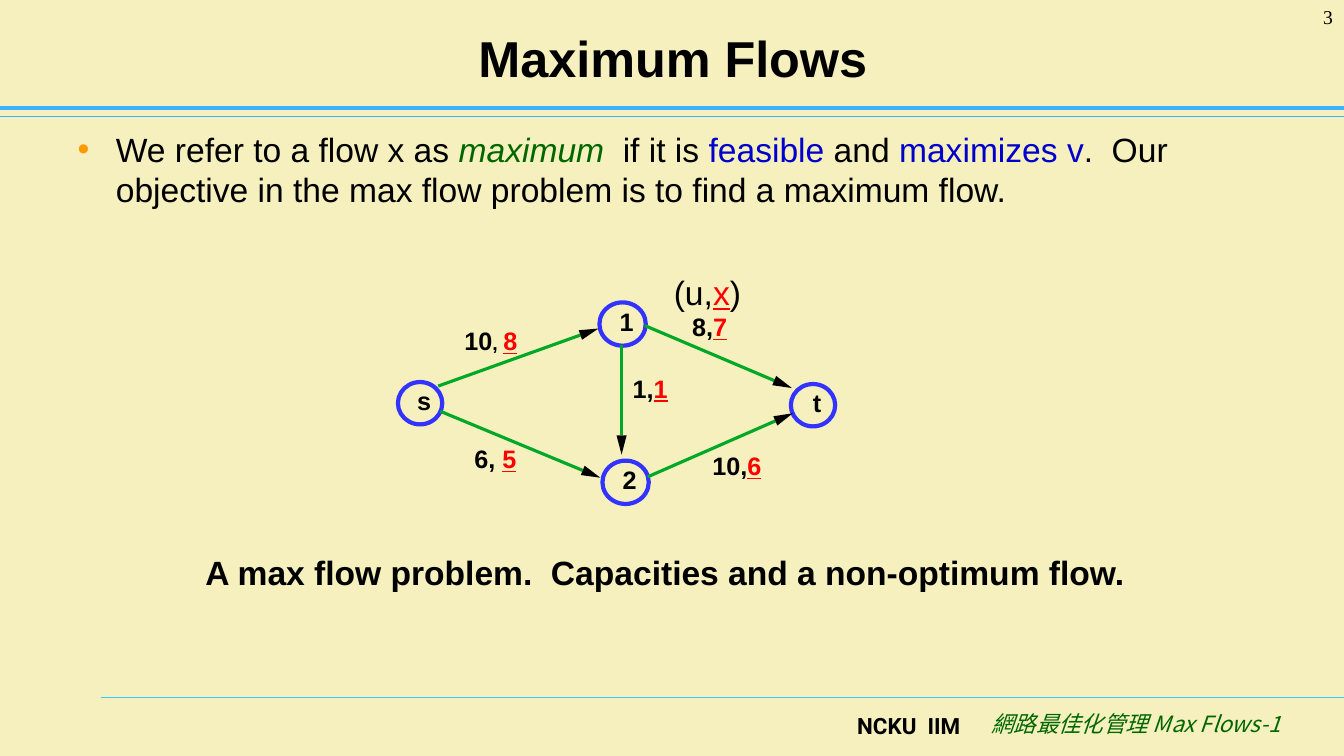
"""Build the Maximum Flows slide with its small network diagram."""
import math
import pptx
import pptx.util
import pptx.dml.color
import pptx.enum.shapes
import pptx.enum.text
from dataclasses import dataclass, field
from lxml import etree

Inches = pptx.util.Inches
Align = pptx.enum.text.PP_ALIGN
Anchor = pptx.enum.text.MSO_ANCHOR
Shape = pptx.enum.shapes.MSO_SHAPE
NS = "http://schemas.openxmlformats.org/drawingml/2006/main"


@dataclass
class Theme:
    """Colours and type styles of the slide."""
    back: str = "F5F0BD"
    rule: str = "3DB0FF"
    foot: str = "33CCFF"
    ring: str = "3333FF"
    edge: str = "00A828"
    tip: str = "000000"
    dot: str = "FF9900"
    styles: dict = field(default_factory=lambda: {
        "title": ("Arial", 36, "000000", "b"),
        "body": ("Arial", 24, "000000", ""),
        "term": ("Arial", 24, "006600", "i"),
        "key": ("Arial", 24, "0000CC", ""),
        "red": ("Arial", 24, "FF0000", "u"),
        "bold": ("Arial", 24, "000000", "b"),
        "cap": ("Arial", 18, "000000", "b"),
        "comma": ("Arial", 14, "000000", "b"),
        "flow": ("Arial", 18, "FF0000", "bu"),
        "page": ("Times New Roman", 14, "000000", ""),
        "org": ("Roboto", 16, "000000", "b"),
        "course": ("Noto Sans CJK SC", 16, "006600", "i"),
    })


THEME = Theme()
TITLE = [("Maximum Flows", "title")]
BODY = [
    ("We refer to a flow x as ", "body"), ("maximum", "term"),
    ("  if it is ", "body"), ("feasible", "key"), (" and ", "body"),
    ("maximizes v", "key"),
    (".  Our objective in the max flow problem is to find a maximum flow.", "body"),
]
RULES = [
    (1, 6.92, THEME.foot, 0.75),
    (0, 1.16, THEME.rule, 0.75),
    (0, 1.07, THEME.rule, 2.5),
]
NODES = [
    ("s", 3.95, 3.79, 0.44, 0.42),
    ("1", 5.95, 3, 0.46, 0.43),
    ("2", 5.98, 4.57, 0.46, 0.43),
    ("t", 7.85, 3.81, 0.44, 0.42),
]
EDGES = [
    ((4.35, 3.83), (5.94, 3.26)),
    ((4.37, 4.08), (5.96, 4.74)),
    ((6.4, 3.23), (7.86, 3.85)),
    ((6.43, 4.73), (7.87, 4.1)),
    ((6.17, 3.42), (6.17, 4.51)),
]
LABELS = [
    (4.61, 3.23, [("10", "cap"), (", ", "comma"), ("8", "flow")]),
    (6.87, 3.09, [("8,", "cap"), ("7", "flow")]),
    (6.28, 3.7, [("1,", "cap"), ("1", "flow")]),
    (7.07, 4.47, [("10,", "cap"), ("6", "flow")]),
    (4.71, 4.4, [("6, ", "cap"), ("5", "flow")]),
]
NOTES = [
    ((1.94, 5.43, 9.8, 0.5), Align.LEFT,
     [("A max flow problem.  Capacities and a non-optimum flow.", "bold")]),
    ((6.59, 2.65, 1, 0.5), Align.LEFT,
     [("(u,", "body"), ("x", "red"), (")", "body")]),
    ((12.22, 0, 1.11, 0.5), Align.RIGHT, [("3", "page")]),
    ((8.1, 7.02, 1.53, 0.4), Align.RIGHT, [("NCKU  IIM", "org")]),
    ((9.4, 7, 3.41, 0.5), Align.RIGHT, [("網路最佳化管理 Max Flows-1", "course")]),
]
HEAD, HALF = 0.19, 0.05


def color(code):
    return pptx.dml.color.RGBColor.from_string(code)


def write(frame, runs, align=Align.LEFT, pad=(0.1, 0.05, 0.1, 0.05)):
    frame.word_wrap = True
    frame.auto_size = pptx.enum.text.MSO_AUTO_SIZE.NONE
    left, top, right, low = map(Inches, pad)
    frame.margin_left, frame.margin_top = left, top
    frame.margin_right, frame.margin_bottom = right, low
    para = frame.paragraphs[0]
    para.alignment = align
    para.space_before = pptx.util.Pt(0)
    for text, style in runs:
        name, size, shade, marks = THEME.styles[style]
        run = para.add_run()
        run.text = text
        font = run.font
        font.name, font.size = name, pptx.util.Pt(size)
        font.bold, font.italic, font.underline = (m in marks for m in "biu")
        font.color.rgb = color(shade)
        if style == "course":
            etree.SubElement(run._r.get_or_add_rPr(), f"{{{NS}}}ea", typeface=name)
    return para


def place(shape, *box):
    shape.left, shape.top, shape.width, shape.height = map(Inches, box)


def draw(shapes, start, end, shade, width):
    line = shapes.add_connector(
        pptx.enum.shapes.MSO_CONNECTOR.STRAIGHT, *map(Inches, (*start, *end)))
    line.line.color.rgb = color(shade)
    line.line.width = pptx.util.Pt(width)
    etree.SubElement(line._element.spPr, f"{{{NS}}}effectLst")


def arrow(shapes, start, end):
    (ax, ay), (bx, by) = start, end
    span = math.dist(start, end)
    ux, uy = (bx - ax) / span, (by - ay) / span
    base = cx, cy = bx - HEAD * ux, by - HEAD * uy
    draw(shapes, start, base, THEME.edge, 2.25)
    wings = [(cx - s * HALF * uy, cy + s * HALF * ux) for s in (1, -1)]
    path = shapes.build_freeform(Inches(bx), Inches(by))
    path.add_line_segments([tuple(map(Inches, w)) for w in wings], close=True)
    tip = path.convert_to_shape()
    tip.shadow.inherit = False
    tip.fill.solid()
    tip.fill.fore_color.rgb = color(THEME.tip)
    tip.line.fill.background()


def bullet(para):
    props = para._p.get_or_add_pPr()
    props.set("marL", str(Inches(0.38)))
    props.set("indent", str(-Inches(0.38)))
    tint = etree.SubElement(props, f"{{{NS}}}buClr")
    etree.SubElement(tint, f"{{{NS}}}srgbClr", val=THEME.dot)
    etree.SubElement(props, f"{{{NS}}}buChar", char="•")


def main():
    deck = pptx.Presentation()
    deck.slide_width, deck.slide_height = Inches(13.34), Inches(7.5)
    slide = deck.slides.add_slide(deck.slide_layouts[1])
    slide.background.fill.solid()
    slide.background.fill.fore_color.rgb = color(THEME.back)
    shapes = slide.shapes
    for left, top, shade, width in RULES:
        draw(shapes, (left, top), (13.34, top), shade, width)

    title, body = shapes.title, slide.placeholders[1]
    place(title, 0.68, 0.13, 12, 0.87)
    write(title.text_frame, TITLE, Align.CENTER)
    title.text_frame.vertical_anchor = Anchor.MIDDLE
    place(body, 0.67, 1.23, 12.3, 5.51)
    bullet(write(body.text_frame, BODY))
    body.text_frame.vertical_anchor = Anchor.TOP

    for name, *box in NODES:
        node = shapes.add_shape(Shape.OVAL, *map(Inches, box))
        node.shadow.inherit = False
        node.fill.background()
        node.line.color.rgb = color(THEME.ring)
        node.line.width = pptx.util.Pt(3)
        write(node.text_frame, [(name, "cap")], Align.CENTER, (0.08, 0, 0, 0.05))
        node.text_frame.vertical_anchor = Anchor.MIDDLE
    for start, end in EDGES:
        arrow(shapes, start, end)
    for left, top, runs in LABELS:
        label = shapes.add_textbox(*map(Inches, (left, top, 0.7, 0.3)))
        write(label.text_frame, runs, pad=(0, 0, 0, 0))
    for box, align, runs in NOTES:
        note = shapes.add_textbox(*map(Inches, box))
        write(note.text_frame, runs, align)
    deck.save("out.pptx")


if __name__ == "__main__":
    main()
